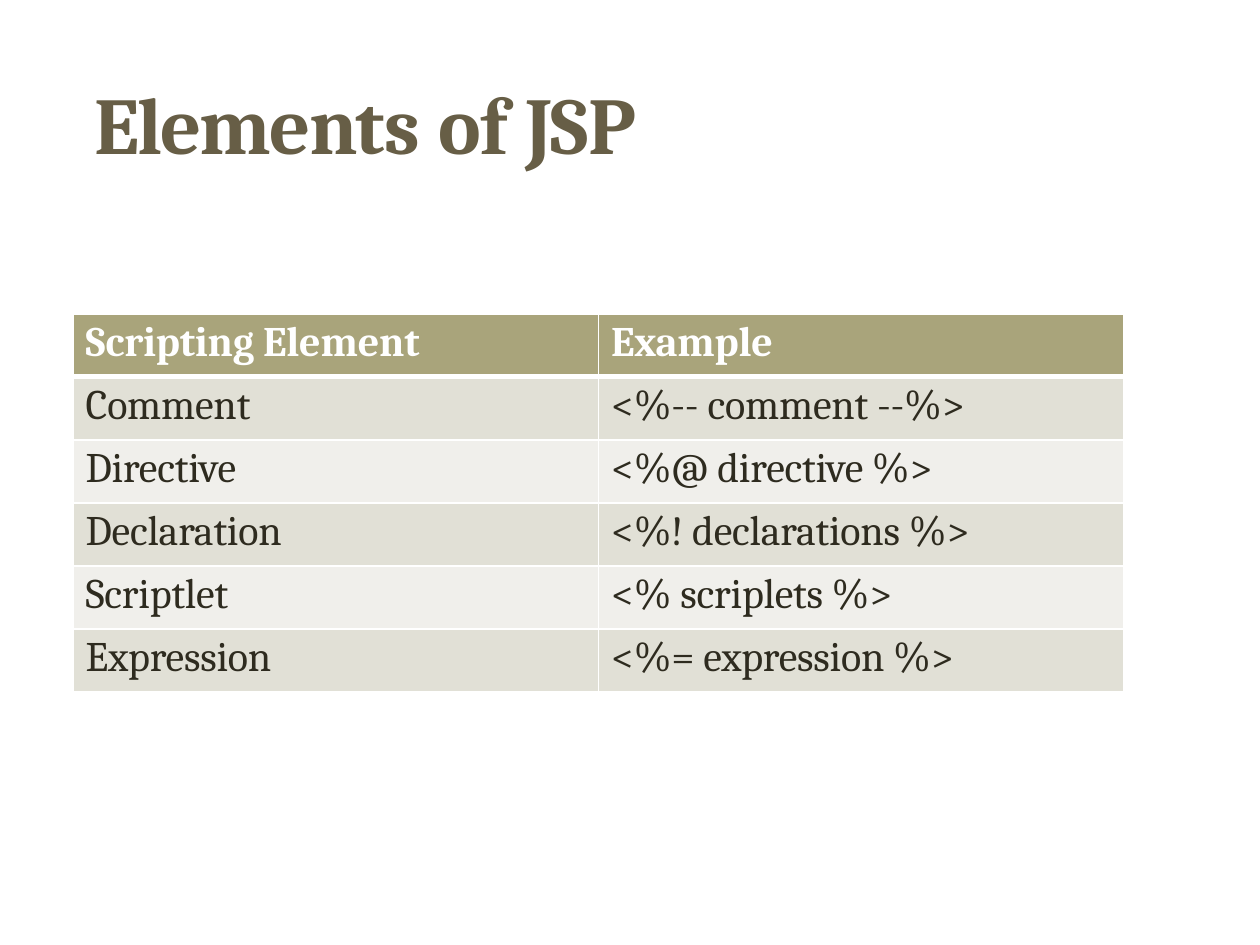
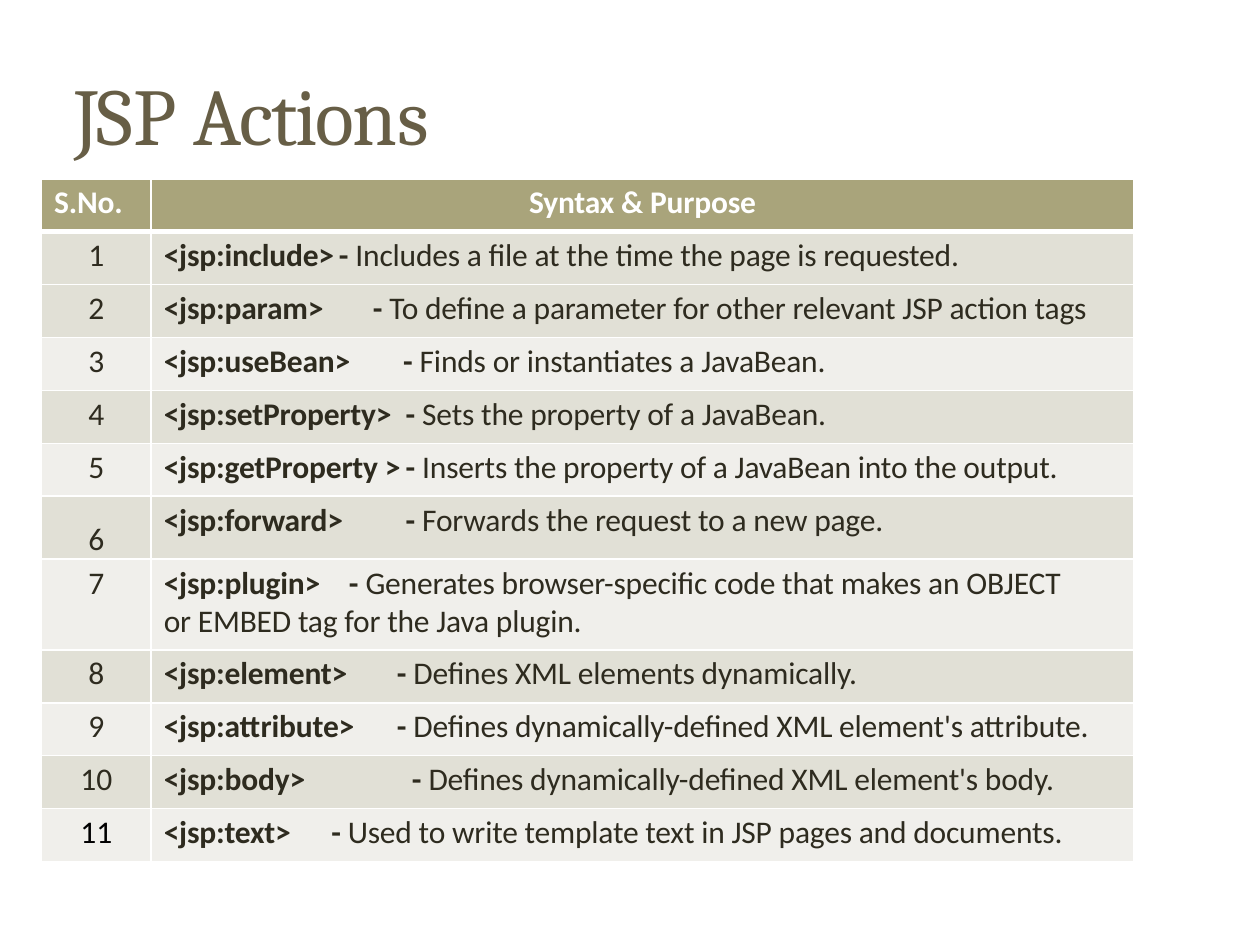
from lxml import etree
from pptx import Presentation
from pptx import util as u
from pptx.dml.color import RGBColor
from pptx.enum import text
from pptx.oxml.ns import qn

THEME = {
    "title": "675E46", "header": "A9A47B", "dark": "E1E0D6", "light": "F0EFEB",
    "ink": "2E2B1F", "white": "FFFFFF", "black": "000000",
    "serif": "Cambria", "sans": "Calibri",
    "title_size": 46, "elements_size": 24, "actions_size": 18,
    "rule": 1, "header_rule": 3, "spacing": -0.1, "title_spacing": -1.1,
}

ELEMENTS = {
    "title": "Elements of JSP",
    "title_at": (0.75, 0.58, 6.08, 0.79),
    "header": ("Scripting Element", "Example"),
    "rows": [
        ("Comment", "<%-- comment --%>"),
        ("Directive", "<%@ directive %>"),
        ("Declaration", "<%! declarations %>"),
        ("Scriptlet", "<% scriplets %>"),
        ("Expression", "<%= expression %>"),
    ],
    "table_at": (0.58, 2.49),
    "columns": (4.17, 4.17),
    "row_height": 0.5,
}

ACTIONS = {
    "title": "JSP Actions",
    "title_at": (0.59, 0.51, 2.95, 0.79),
    "header": ("S.No.", "Syntax & Purpose"),
    "rows": [
        ("<jsp:include>", 1.39, "Includes a file at the time the page is requested."),
        ("<jsp:param>", 1.66, "To define a parameter for other relevant JSP action tags"),
        ("<jsp:useBean>", 1.9, "Finds or instantiates a JavaBean."),
        ("<jsp:setProperty>", 1.92, "Sets the property of a JavaBean."),
        ("<jsp:getProperty >", 1.92, "Inserts the property of a JavaBean into the output."),
        ("<jsp:forward>", 1.92, "Forwards the request to a new page."),
        ("<jsp:plugin>", 1.47, "Generates browser-specific code that makes an OBJECT\n"
                               "or EMBED tag for the Java plugin."),
        ("<jsp:element>", 1.85, "Defines XML elements dynamically."),
        ("<jsp:attribute>", 1.85, "Defines dynamically-defined XML element's attribute."),
        ("<jsp:body>", 1.97, "Defines dynamically-defined XML element's body."),
        ("<jsp:text>", 1.33, "Used to write template text in JSP pages and documents."),
    ],
    "table_at": (0.33, 1.42),
    "columns": (0.87, 7.8),
    "row_height": 0.42,
    "tall_rows": {6: 0.5, 7: 0.72},
    "lowered_number": 6,
}


def add_run(paragraph, words, font, size, color, bold=False, spacing=THEME["spacing"]):
    run = paragraph.add_run()
    run.text = words
    run.font.name = font
    run.font.size = u.Pt(size)
    run.font.bold = bold
    run.font.color.rgb = RGBColor.from_string(THEME[color])
    run._r.get_or_add_rPr().set("spc", str(round(spacing * 100)))


def add_title(slide, content):
    frame = slide.shapes.add_textbox(*map(u.Inches, content["title_at"])).text_frame
    frame.word_wrap = True
    frame.margin_left = frame.margin_right = frame.margin_bottom = 0
    frame.margin_top = u.Inches(0.01)
    bold = content is ELEMENTS
    words = content["title"].split()
    for number, word in enumerate(words, 1):
        ending = word[-1] + (" " if number < len(words) else "")
        for part, spacing in ((word[:-1], THEME["title_spacing"]), (ending, THEME["spacing"])):
            add_run(frame.paragraphs[0], part, THEME["serif"], THEME["title_size"],
                    "title", bold, spacing)


def style_cell(cell, row, dark_start):
    properties = cell._tc.get_or_add_tcPr()
    widths = {"lnL": THEME["rule"], "lnR": THEME["rule"],
              "lnT": THEME["header_rule" if row == 1 else "rule"],
              "lnB": THEME["header_rule" if row == 0 else "rule"]}
    for side, width in widths.items():
        line = etree.SubElement(properties, qn(f"a:{side}"), w=str(u.Pt(width)))
        fill = etree.SubElement(line, qn("a:solidFill"))
        etree.SubElement(fill, qn("a:srgbClr"), val=THEME["white"])
    dark = row <= dark_start or (row - dark_start) % 2 == 0
    band = "header" if row == 0 else "dark" if dark else "light"
    cell.fill.solid()
    cell.fill.fore_color.rgb = RGBColor.from_string(THEME[band])
    cell.margin_left = u.Inches(0.1)
    cell.margin_right = cell.margin_bottom = 0
    cell.margin_top = u.Inches(0.04)


def add_grid(slide, content, dark_start):
    row_count = len(content["rows"]) + 1
    tall = content.get("tall_rows", {})
    heights = [tall.get(row, content["row_height"]) for row in range(row_count)]
    size = (sum(content["columns"]), sum(heights))
    grid = slide.shapes.add_table(row_count, 2, *map(u.Inches, content["table_at"] + size)).table
    for column, width in zip(grid.columns, content["columns"]):
        column.width = u.Inches(width)
    for row, height in enumerate(heights):
        grid.rows[row].height = u.Inches(height)
        for column in range(2):
            style_cell(grid.cell(row, column), row, dark_start)
    return grid


def center(cell):
    cell.margin_left = 0
    cell.text_frame.paragraphs[0].alignment = text.PP_ALIGN.CENTER


def build_elements(slide):
    add_title(slide, ELEMENTS)
    grid = add_grid(slide, ELEMENTS, dark_start=1)
    for row, entries in enumerate([ELEMENTS["header"]] + ELEMENTS["rows"]):
        for column, entry in enumerate(entries):
            add_run(grid.cell(row, column).text_frame.paragraphs[0], entry, THEME["serif"],
                    THEME["elements_size"], "ink" if row else "white", row == 0)


def add_action(paragraph, tag, dash_at, purpose):
    tabs = etree.SubElement(paragraph._p.get_or_add_pPr(), qn("a:tabLst"))
    etree.SubElement(tabs, qn("a:tab"), pos=str(u.Inches(dash_at)), algn="l")
    style = (THEME["sans"], THEME["actions_size"], "ink")
    add_run(paragraph, f"{tag}\t- ", *style, bold=True)
    for number, line in enumerate(purpose.split("\n")):
        if number:
            paragraph.add_line_break()
        add_run(paragraph, line, *style)


def build_actions(slide):
    add_title(slide, ACTIONS)
    grid = add_grid(slide, ACTIONS, dark_start=2)
    for column, heading in enumerate(ACTIONS["header"]):
        add_run(grid.cell(0, column).text_frame.paragraphs[0], heading, THEME["sans"],
                THEME["actions_size"], "white", True)
    center(grid.cell(0, 1))
    last = len(ACTIONS["rows"])
    for number, action in enumerate(ACTIONS["rows"], 1):
        number_cell = grid.cell(number, 0)
        center(number_cell)
        if number == ACTIONS["lowered_number"]:
            number_cell.margin_top = u.Inches(0.19)
        add_run(number_cell.text_frame.paragraphs[0], str(number), THEME["sans"],
                THEME["actions_size"], "black" if number == last else "ink", spacing=0)
        add_action(grid.cell(number, 1).text_frame.paragraphs[0], *action)


def main():
    deck = Presentation()
    deck.slide_width, deck.slide_height = u.Inches(10), u.Inches(7.5)
    for build in (build_elements, build_actions):
        build(deck.slides.add_slide(deck.slide_layouts[6]))
    deck.save("out.pptx")


if __name__ == "__main__":
    main()
